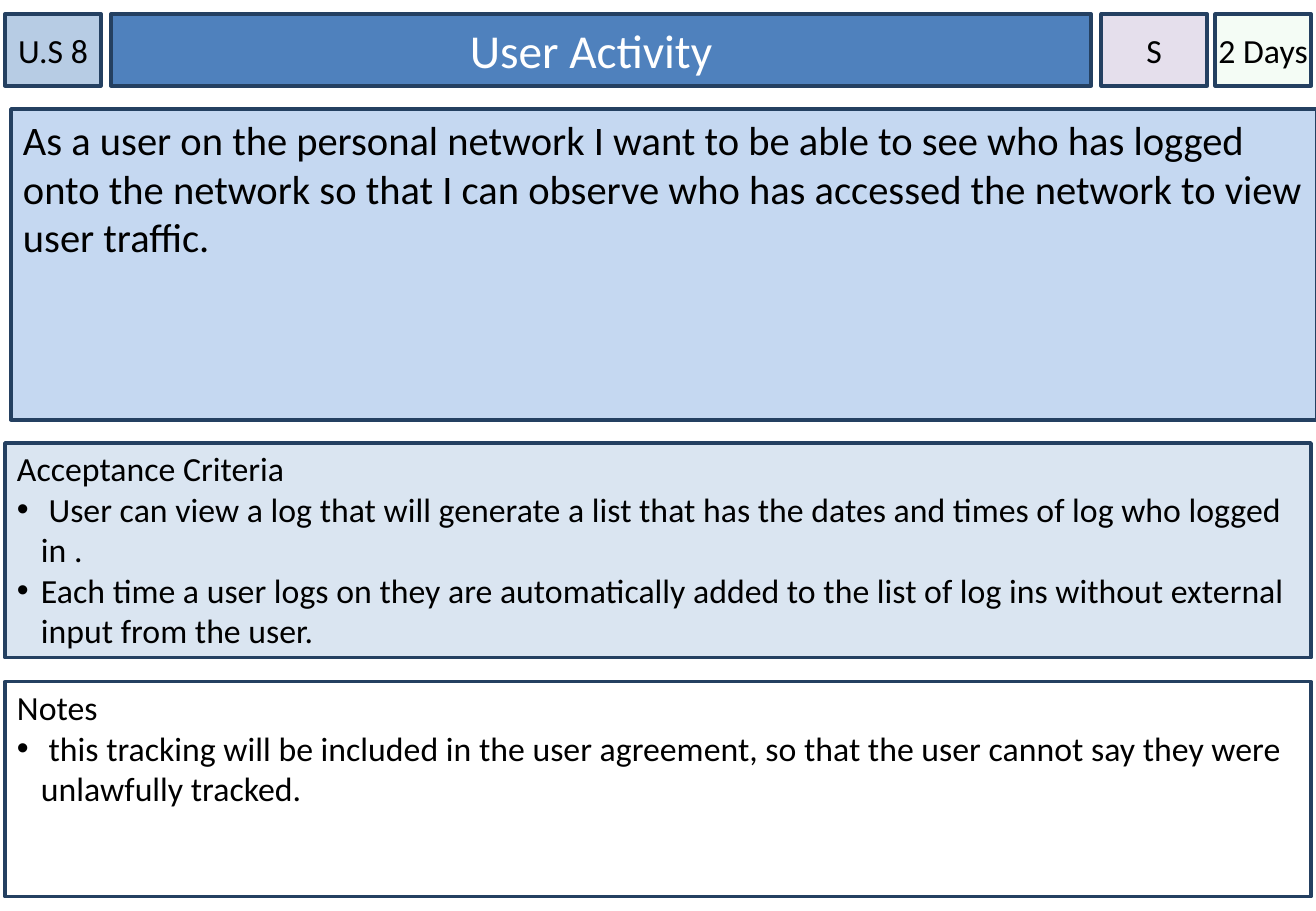
from lxml import etree
from pptx import Presentation
from pptx.dml.color import RGBColor
from pptx.enum.shapes import MSO_SHAPE
from pptx.enum.text import MSO_ANCHOR, MSO_AUTO_SIZE, PP_ALIGN
from pptx.oxml.ns import qn
from pptx.util import Inches, Pt

SCALE = 914400 / 121.5
FONT = "Calibri"
BORDER = "244061"
BLACK = "000000"
BULLET_INDENT = 24


def px(length):
    return round(length * SCALE)


def color(hex_text):
    return RGBColor.from_string(hex_text)


def style_box(shape, box, fill, margins, anchor):
    shape.left, shape.top, shape.width, shape.height = map(px, box)
    shape.fill.solid()
    shape.fill.fore_color.rgb = color(fill)
    shape.line.color.rgb = color(BORDER)
    shape.line.width = Pt(2)
    frame = shape.text_frame
    frame.word_wrap = True
    frame.auto_size = MSO_AUTO_SIZE.NONE
    frame.vertical_anchor = anchor
    (frame.margin_left, frame.margin_top,
     frame.margin_right, frame.margin_bottom) = map(px, margins)


def add_box(slide, box, fill, margins, anchor):
    shape = slide.shapes.add_shape(MSO_SHAPE.RECTANGLE, *map(px, box))
    shape.shadow.inherit = False
    style_box(shape, box, fill, margins, anchor)
    return shape


def write(paragraph, text, size, font_color=BLACK, align=PP_ALIGN.LEFT):
    paragraph.alignment = align
    run = paragraph.add_run()
    run.text = text
    run.font.name = FONT
    run.font.size = Pt(size)
    run.font.color.rgb = color(font_color)


def add_bullet(paragraph):
    properties = paragraph._p.get_or_add_pPr()
    properties.set("marL", str(px(BULLET_INDENT)))
    properties.set("indent", str(-px(BULLET_INDENT)))
    etree.SubElement(properties, qn("a:buFont"), typeface="Arial")
    etree.SubElement(properties, qn("a:buChar"), char="•")


def set_opacity(shape, percent):
    fill_color = shape.fill._xPr.find(qn("a:solidFill"))[0]
    etree.SubElement(fill_color, qn("a:alpha"), val=str(percent * 1000))


def add_tag(slide, box, fill, text):
    tag = add_box(slide, box, fill, (0, 6, 0, 6), MSO_ANCHOR.MIDDLE)
    write(tag.text_frame.paragraphs[0], text, 20, align=PP_ALIGN.CENTER)
    return tag


def add_header(slide, box, story_id, title_text, priority, estimate):
    left, top, width, height = box
    right = left + width
    add_tag(slide, (left, top, 96, height), "B7CCE4", story_id)

    title = slide.shapes.title
    style_box(title, (left + 106, top, 980, height), "4F81BD",
              (12, 6, 32, 6), MSO_ANCHOR.MIDDLE)
    write(title.text_frame.paragraphs[0], title_text, 28, "FFFFFF", PP_ALIGN.CENTER)

    add_tag(slide, (right - 210, top, 106, height), "E5DFEC", priority)
    estimate_tag = add_tag(slide, (right - 96, top, 96, height), "CCF0CD", estimate)
    set_opacity(estimate_tag, 20)


def add_story(slide, box, text):
    story = add_box(slide, box, "C5D8F1", (12, 6, 12, 6), MSO_ANCHOR.TOP)
    write(story.text_frame.paragraphs[0], text, 24)


def add_list_panel(slide, box, fill, heading, items):
    panel = add_box(slide, box, fill, (12, 5, 12, 6), MSO_ANCHOR.TOP)
    frame = panel.text_frame
    write(frame.paragraphs[0], heading, 20)
    for item in items:
        paragraph = frame.add_paragraph()
        write(paragraph, item, 20)
        add_bullet(paragraph)


prs = Presentation()
prs.slide_width = Inches(10.83)
prs.slide_height = Inches(7.5)
card = prs.slides.add_slide(prs.slide_layouts[5])

add_header(card, (5, 14, 1306, 72), "U.S 8", "User Activity", "S", "2 Days")
add_story(card, (11, 109, 1306, 311),
          "As a user on the personal network I want to be able to see who has logged "
          "onto the network so that I can observe who has accessed the network to view "
          "user traffic.")
add_list_panel(card, (5, 443, 1306, 215), "DAE5F1", "Acceptance Criteria", [
    " User can view a log that will generate a list that has the dates and times "
    "of log who logged in .",
    "Each time a user logs on they are automatically added to the list of log ins "
    "without external input from the user.",
])
add_list_panel(card, (5, 682, 1306, 215), "FFFFFF", "Notes", [
    " this tracking will be included in the user agreement, so that the user cannot "
    "say they were unlawfully tracked.",
])

prs.save("out.pptx")
